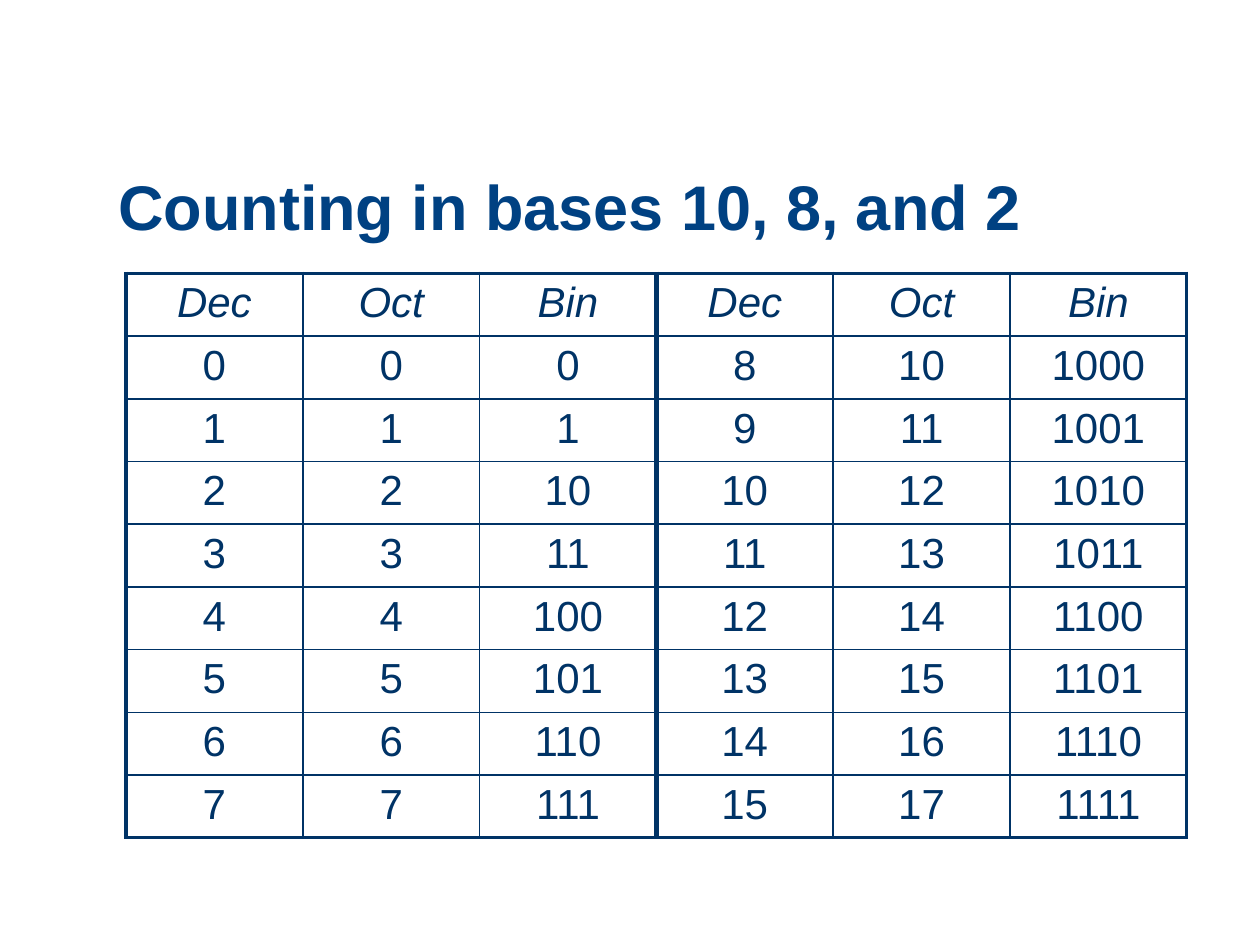
"""Build a slide that counts from 0 to 15 in bases 10, 8 and 2."""
from dataclasses import dataclass

from lxml import etree
from pptx import Presentation, util as u
from pptx.dml.color import RGBColor
from pptx.enum import shapes, text
from pptx.oxml import ns
from pptx.slide import Slide

HEADINGS = ["Dec", "Oct", "Bin"]
FORMATS = ["d", "o", "b"]
HALF = 8


def colour(hex_code):
    return RGBColor.from_string(hex_code)


def write(frame, words, *, size, ink, font, bold=False, italic=False,
          align=text.PP_ALIGN.LEFT, spacing=1.0):
    paragraph = frame.paragraphs[0]
    paragraph.alignment = align
    paragraph.line_spacing = spacing
    run = paragraph.add_run()
    run.text = words
    run.font.name = font
    run.font.size = u.Pt(size)
    run.font.bold = bold
    run.font.italic = italic
    run.font.color.rgb = colour(ink)


@dataclass
class CountingSlide:
    slide: Slide
    font: str = "Arial"
    title_ink: str = "004182"
    table_ink: str = "003366"
    inner: float = 1
    outer: float = 2.25
    divider: float = 3

    def title(self, words, left, top, width, height):
        heading = self.slide.shapes.add_shape(
            shapes.MSO_SHAPE.ROUNDED_RECTANGLE,
            u.Inches(left), u.Inches(top), u.Inches(width), u.Inches(height))
        heading.adjustments[0] = 0.22
        heading.shadow.inherit = False
        heading.fill.background()
        heading.line.fill.background()
        frame = heading.text_frame
        frame.word_wrap = True
        frame.vertical_anchor = text.MSO_ANCHOR.BOTTOM
        frame.margin_left = u.Inches(0.05)
        frame.margin_bottom = 0
        write(frame, words, size=36, ink=self.title_ink, font=self.font,
              bold=True, spacing=0.9)

    def borders(self, cell, widths):
        properties = cell._tc.get_or_add_tcPr()
        for position, (side, width) in enumerate(zip("LRTB", widths)):
            line = etree.Element(ns.qn(f"a:ln{side}"), w=str(u.Pt(width)))
            fill = etree.SubElement(line, ns.qn("a:solidFill"))
            etree.SubElement(fill, ns.qn("a:srgbClr"), val=self.table_ink)
            properties.insert(position, line)

    def table(self, rows, left, top, width, height):
        row_count, column_count = len(rows), len(rows[0])
        grid = self.slide.shapes.add_table(
            row_count, column_count, u.Inches(left), u.Inches(top),
            u.Inches(width), u.Inches(height)).table
        grid.first_row = grid.horz_banding = False
        across = [self.inner] * (column_count + 1)
        across[0] = across[-1] = self.outer
        across[column_count // 2] = self.divider
        down = [self.outer] + [self.inner] * (row_count - 1) + [self.outer]
        for r, row in enumerate(rows):
            for c, words in enumerate(row):
                cell = grid.cell(r, c)
                cell.fill.background()
                write(cell.text_frame, words, size=24, ink=self.table_ink,
                      font=self.font, italic=r == 0,
                      align=text.PP_ALIGN.CENTER)
                self.borders(cell, [*across[c:c + 2], *down[r:r + 2]])


def main():
    deck = Presentation()
    deck.slide_width, deck.slide_height = u.Inches(10), u.Inches(7.5)
    counting = CountingSlide(deck.slides.add_slide(deck.slide_layouts[6]))
    counting.title("Counting in bases 10, 8, and 2", 0.83, 1.08, 8.67, 0.92)
    numbers = [[format(value, base) for value in (n, n + HALF) for base in FORMATS]
               for n in range(HALF)]
    counting.table([HEADINGS * 2] + numbers, 1, 2.17, 8.42, 4.48)
    deck.save("out.pptx")


if __name__ == "__main__":
    main()
